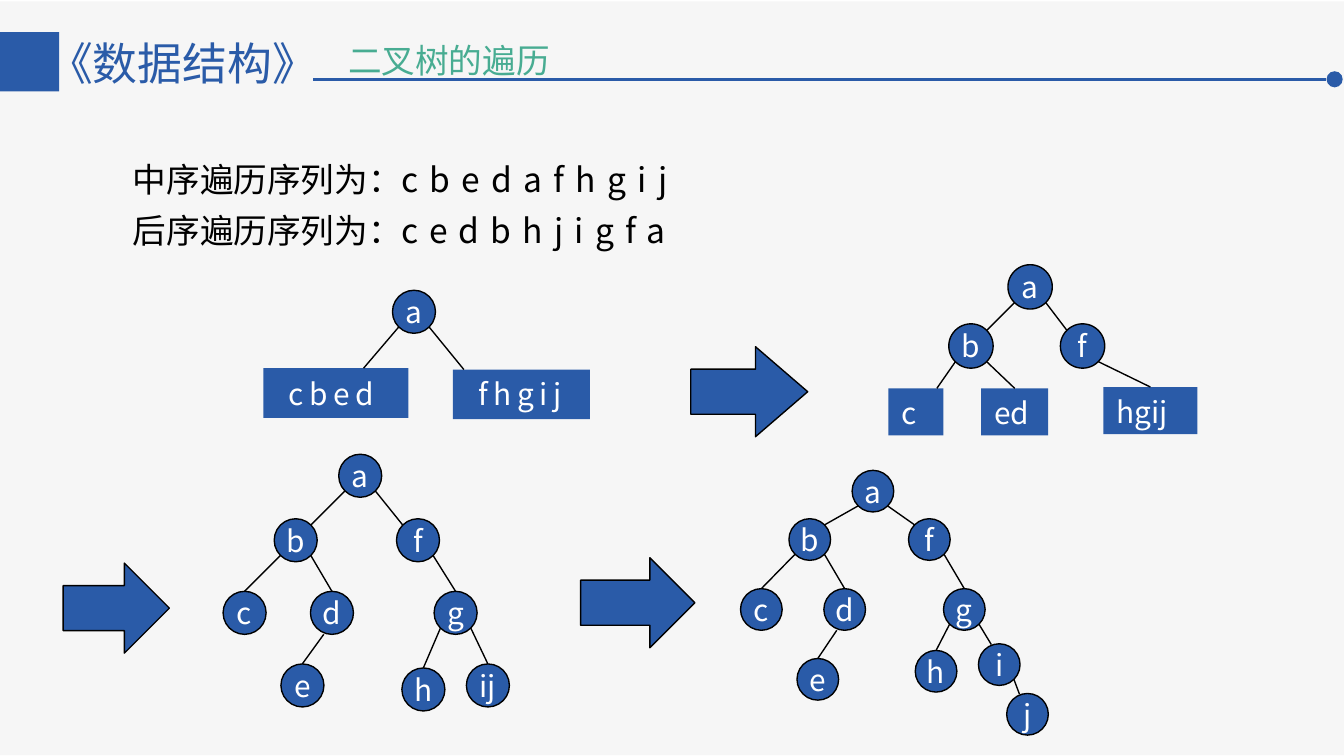
import pptx
import pptx.dml.color
import pptx.enum.shapes
import pptx.enum.text
import pptx.oxml.ns
import pptx.util
from lxml import etree
from pptx.util import Inches

FONT = "Noto Sans CJK JP"
BLUE, GREEN, BLACK, WHITE, PAPER = "2A5BA8", "48AC92", "000000", "FFFFFF", "F6F6F6"
SHAPES = pptx.enum.shapes.MSO_SHAPE
ALIGN = pptx.enum.text.PP_ALIGN
ANCHOR = pptx.enum.text.MSO_ANCHOR
PAGE_WIDTH = 10
PAGE_HEIGHT = PAGE_WIDTH * 9 / 16

# Points on a node, as fractions of its width and height
TOP = (0.5, 0)
LEFT_FOOT, RIGHT_FOOT = (0.15, 0.85), (0.85, 0.85)
LEFT_SHOULDER, RIGHT_SHOULDER = (0.15, 0.15), (0.85, 0.15)
LOW_LEFT, HIGH_LEFT = (0.31, 1), (0.31, 0.02)


def color(value):
    return pptx.dml.color.RGBColor.from_string(value)


def write(box, *pieces, size=16, fill=WHITE, align=ALIGN.LEFT, anchor=ANCHOR.TOP,
          wrap=True, line_spacing=None):
    """Write one paragraph from (text, letter spacing in points) pieces."""
    frame = box.text_frame
    frame.word_wrap = wrap
    frame.vertical_anchor = anchor
    para = frame.paragraphs[0]
    para.alignment = align
    if line_spacing:
        para.line_spacing = line_spacing
    for text, spacing in pieces:
        span = para.add_run()
        span.text = text
        span.font.size = pptx.util.Pt(size)
        span.font.name = FONT
        span.font.color.rgb = color(fill)
        properties = span.font._element
        east_asian = etree.SubElement(properties, pptx.oxml.ns.qn("a:ea"))
        east_asian.set("typeface", FONT)
        if spacing:
            properties.set("spc", str(spacing * 100))


def add_text(page, left, top, width, height, *pieces, **style):
    box = page.shapes.add_textbox(Inches(left), Inches(top), Inches(width), Inches(height))
    write(box, *pieces, **style)
    return box


def add_shape(page, kind, left, top, width, height, fill=BLUE, outlined=False):
    shape = page.shapes.add_shape(kind, Inches(left), Inches(top), Inches(width), Inches(height))
    shape.shadow.inherit = False
    shape.fill.solid()
    shape.fill.fore_color.rgb = color(fill)
    if outlined:
        shape.line.color.rgb = color(BLACK)
        shape.line.width = pptx.util.Pt(0.75)
    else:
        shape.line.fill.background()
    return shape


def add_line(page, start, end, line_color=BLACK, width=0.75):
    line = page.shapes.add_connector(
        pptx.enum.shapes.MSO_CONNECTOR.STRAIGHT, *start, *end)
    line.line.color.rgb = color(line_color)
    line.line.width = pptx.util.Pt(width)
    etree.SubElement(line._element.spPr, pptx.oxml.ns.qn("a:effectLst"))
    return line


def point_on(shape, spot):
    return (int(shape.left + shape.width * spot[0]),
            int(shape.top + shape.height * spot[1]))


def add_header(page, left, top, width):
    add_text(page, left + 0.26, top, 2.26, 0.5, ("《数据结构》", 0), size=24, fill=BLUE)
    add_shape(page, SHAPES.RECTANGLE, left, top + 0.02, 0.44, 0.44)
    topic = add_text(page, left + 2.52, top + 0.04, 3.07, 0.39, ("二叉树的遍历", 0),
                     size=18, fill=GREEN)
    frame = topic.text_frame
    frame.margin_left = frame.margin_right = Inches(0.07)
    frame.margin_top = frame.margin_bottom = Inches(0.04)
    # Rule ending in a dot at the right edge
    rule, dot = top + 0.37, 0.12
    dot_left = left + width - dot - 0.01
    add_line(page, (Inches(left + 2.33), Inches(rule)), (Inches(dot_left), Inches(rule)),
             line_color=BLUE, width=1.75)
    add_shape(page, SHAPES.OVAL, dot_left, rule - dot / 2, dot, dot)


def add_sequences(page, left, top):
    rows = [("中序遍历序列为：", "cbedafhgij", 0, 5.07, 0.56, 1.5),
            ("后序遍历序列为：", "cedbhjigfa", 0.23, 7.96, 0.71, 2)]
    for label, letters, down, width, height, spacing in rows:
        add_text(page, left, top + down, width, height, (label, 0), (letters, 6),
                 size=18, fill=BLACK, line_spacing=spacing)


def add_arrow(page, left, top, width, height, head):
    arrow = add_shape(page, SHAPES.RIGHT_ARROW, left, top, width, height, outlined=True)
    arrow.adjustments[0], arrow.adjustments[1] = 0.5, head


def add_tree(page, left, top, size, circles, blocks=(), links=()):
    """Place circles, blocks of unsplit letters and the links between them."""
    nodes = {}
    for label, across, down in circles:
        node = add_shape(page, SHAPES.OVAL, left + across, top + down, size, size, outlined=True)
        write(node, (label, 0), align=ALIGN.CENTER, anchor=ANCHOR.MIDDLE, wrap=False)
        nodes[label] = node
    for label, across, down, width, height, spacing, anchor in blocks:
        node = add_shape(page, SHAPES.RECTANGLE, left + across, top + down, width, height)
        write(node, (label, spacing), anchor=anchor)
        nodes[label.strip()] = node
    for parent, child, start, end in links:
        line = add_line(page, point_on(nodes[parent], start), point_on(nodes[child], end))
        if end == TOP:
            line.end_connect(nodes[child], 0)


def main():
    deck = pptx.Presentation()
    deck.slide_width, deck.slide_height = Inches(PAGE_WIDTH), Inches(PAGE_HEIGHT)
    page = deck.slides.add_slide(deck.slide_layouts[6])
    add_shape(page, SHAPES.RECTANGLE, 0, 0.01, PAGE_WIDTH, 5.61, fill=PAPER)
    add_header(page, 0, 0.22, PAGE_WIDTH)
    add_sequences(page, 0.89, 0.98)

    # Step 1: the root splits the sequence in two
    add_tree(page, 1.96, 2.16, 0.32, [("a", 0.96, 0)],
             blocks=[(" cbed", 0, 0.58, 1.08, 0.37, 3, ANCHOR.MIDDLE),
                     (" fhgij", 1.41, 0.59, 1.02, 0.37, 3, ANCHOR.TOP)],
             links=[("a", "cbed", LEFT_FOOT, (0.69, 0)),
                    ("a", "fhgij", RIGHT_FOOT, (0.08, 0))])
    add_arrow(page, 5.14, 2.58, 0.87, 0.67, 0.58)

    # Step 2: both halves get their roots
    root_links = [("a", "b", LEFT_FOOT, RIGHT_SHOULDER), ("a", "f", RIGHT_FOOT, LEFT_SHOULDER)]
    add_tree(page, 6.61, 1.97, 0.33,
             [("a", 0.89, 0), ("b", 0.45, 0.44), ("f", 1.28, 0.44)],
             blocks=[("c", 0, 0.92, 0.41, 0.35, 0, ANCHOR.TOP),
                     ("ed", 0.69, 0.92, 0.5, 0.35, 0, ANCHOR.TOP),
                     ("hgij", 1.6, 0.91, 0.7, 0.35, 0, ANCHOR.TOP)],
             links=root_links + [("b", "c", LEFT_FOOT, (0.88, 0)),
                                 ("b", "ed", RIGHT_FOOT, TOP),
                                 ("f", "hgij", RIGHT_FOOT, TOP)])
    add_arrow(page, 0.47, 4.19, 0.79, 0.67, 0.5)

    # Step 3: only ij is left to split
    lower_links = root_links + [
        ("b", "c", LEFT_FOOT, TOP), ("b", "d", RIGHT_FOOT, TOP), ("f", "g", RIGHT_FOOT, TOP),
        ("d", "e", LOW_LEFT, TOP), ("g", "h", LEFT_FOOT, TOP)]
    add_tree(page, 1.66, 3.38, 0.32,
             [("a", 0.86, 0), ("b", 0.38, 0.48), ("f", 1.29, 0.48),
              ("c", 0, 1.02), ("d", 0.65, 1.02), ("g", 1.57, 1.02),
              ("e", 0.43, 1.56), ("h", 1.33, 1.59), ("ij", 1.81, 1.56)],
             links=lower_links + [("g", "ij", RIGHT_FOOT, TOP)])
    add_arrow(page, 4.32, 4.15, 0.85, 0.67, 0.5)

    # Step 4: the finished tree
    add_tree(page, 5.51, 3.5, 0.31,
             [("a", 0.83, 0), ("b", 0.36, 0.36), ("f", 1.25, 0.36),
              ("c", 0, 0.88), ("d", 0.62, 0.88), ("g", 1.51, 0.88),
              ("e", 0.42, 1.4), ("h", 1.3, 1.34), ("i", 1.77, 1.29), ("j", 1.98, 1.66)],
             links=lower_links + [("g", "i", RIGHT_FOOT, HIGH_LEFT),
                                  ("i", "j", RIGHT_FOOT, HIGH_LEFT)])

    deck.save("out.pptx")


if __name__ == "__main__":
    main()
